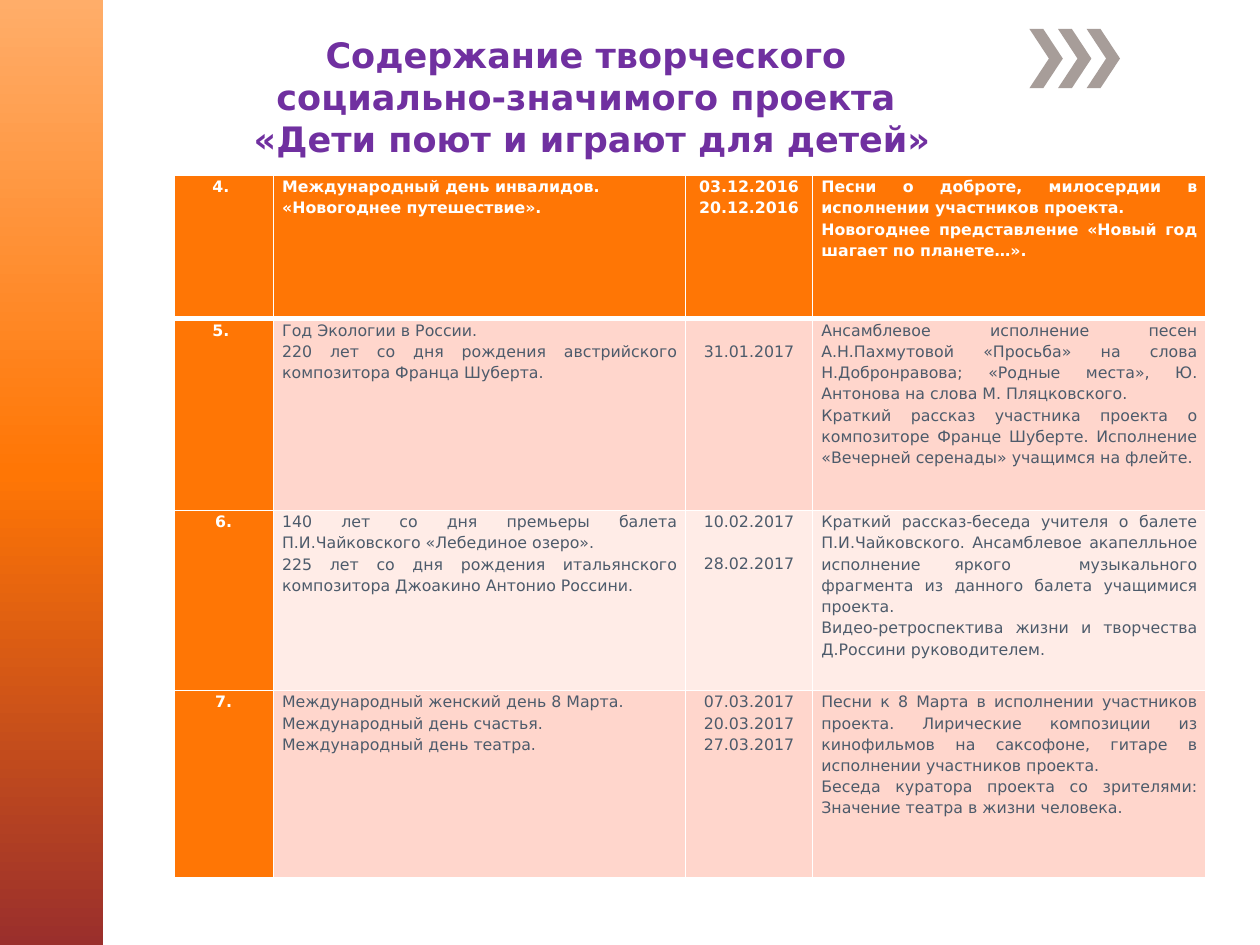
import copy

import pptx
import pptx.dml.color
import pptx.enum.shapes
import pptx.enum.text
import pptx.oxml
import pptx.oxml.ns
import pptx.util

ALIGN = pptx.enum.text.PP_ALIGN
ORANGE, ROSE, PALE, WHITE = "FF7605", "FFD6CC", "FFECE7", "FFFFFF"
SLATE, PURPLE, GREY = "4D5B6B", "7030A0", "A79D99"
LINE_HEIGHT = 1.67

ROWS = [
    ("4. ",
     ["Международный день инвалидов. ", "«Новогоднее путешествие». "],
     ["03.12.2016", "20.12.2016"],
     ["Песни о доброте, милосердии в исполнении участников проекта. ",
      "Новогоднее представление «Новый год шагает по планете…»."]),
    ("5. ",
     ["Год Экологии в России. ",
      "220 лет со дня рождения австрийского композитора Франца Шуберта.  "],
     [None, "31.01.2017"],
     ["Ансамблевое исполнение песен А.Н.Пахмутовой «Просьба» на слова "
      "Н.Добронравова; «Родные места», Ю. Антонова на слова М. Пляцковского.",
      "Краткий рассказ участника проекта о композиторе Франце Шуберте. "
      "Исполнение «Вечерней серенады» учащимся на флейте."]),
    ("6.",
     ["140 лет со дня премьеры балета П.И.Чайковского «Лебединое озеро». ",
      "225 лет со дня рождения итальянского композитора Джоакино Антонио Россини."],
     ["10.02.2017", None, "28.02.2017"],
     ["Краткий рассказ-беседа учителя о балете П.И.Чайковского. Ансамблевое "
      "акапелльное исполнение яркого  музыкального фрагмента из данного балета "
      "учащимися проекта. ",
      "Видео-ретроспектива жизни и творчества Д.Россини руководителем. "]),
    ("7.",
     ["Международный женский день 8 Марта. ", "Международный день счастья.",
      "Международный день театра."],
     ["07.03.2017", "20.03.2017", "27.03.2017"],
     ["Песни к 8 Марта в исполнении участников проекта. Лирические композиции "
      "из кинофильмов на саксофоне, гитаре в исполнении участников проекта. ",
      "Беседа куратора проекта со зрителями: Значение театра в жизни человека. "]),
]


def rgb(value):
    return pptx.dml.color.RGBColor.from_string(value)


def grid(n):
    return pptx.util.Inches(n / 10)


class Deck:
    """Slide builder on a grid of 100 columns by 75 rows, with one text style."""

    font = "DejaVu Sans"

    def __init__(self):
        self.prs = pptx.Presentation()
        self.prs.slide_width, self.prs.slide_height = grid(100), grid(75)
        self.s = self.prs.slides.add_slide(self.prs.slide_layouts[6])

    def fill_text(self, tf, lines, color, size, bold, **fmt):
        tf.word_wrap = True
        p, gap = None, 0
        for line in lines:
            if line is None:
                gap = LINE_HEIGHT
                continue
            first = p is None
            p = tf.paragraphs[0] if first else tf.add_paragraph()
            for name, value in fmt.items():
                setattr(p, name, value)
            if gap and not first:
                p.space_before = grid(gap)
            gap = 0
            r = p.add_run()
            r.text = line
            style = {"name": self.font, "size": pptx.util.Pt(size), "bold": bold}
            for name, value in style.items():
                setattr(r.font, name, value)
            r.font.color.rgb = rgb(color)

    def text(self, box, lines, color, size):
        sp = self.s.shapes.add_textbox(*map(grid, box))
        self.fill_text(sp.text_frame, lines, color, size, True, alignment=ALIGN.CENTER)

    def band(self, box, colors):
        kind = pptx.enum.shapes.MSO_SHAPE.RECTANGLE
        sp = self.s.shapes.add_shape(kind, *map(grid, box))
        sp.shadow.inherit = False
        sp.line.fill.background()
        sp.fill.gradient()
        sp.fill.gradient_angle = 270
        stops = sp._element.xpath(".//a:gsLst")[0]
        stops.insert(1, copy.deepcopy(stops[0]))
        for i, (stop, color) in enumerate(zip(sp.fill.gradient_stops, colors)):
            stop.position = i / (len(colors) - 1)
            stop.color.rgb = rgb(color)

    def chevron(self, x, y, width, height, arm, color):
        outline = [(x + arm, y), (x, y), (x + width - arm, y + height / 2),
                   (x, y + height), (x + arm, y + height), (x + width, y + height / 2)]
        points = [(grid(a), grid(b)) for a, b in outline]
        fb = self.s.shapes.build_freeform(*points[0])
        fb.add_line_segments(points[1:])
        sp = fb.convert_to_shape()
        sp.shadow.inherit = False
        sp.fill.solid()
        sp.fill.fore_color.rgb = rgb(color)
        sp.line.fill.background()

    def borders(self, cell, widths):
        tc_pr = cell._tc.get_or_add_tcPr()
        for side, width in widths.items():
            tc_pr.append(pptx.oxml.parse_xml(
                f'<a:ln{side} {pptx.oxml.ns.nsdecls("a")} w="{pptx.util.Pt(width)}">'
                f'<a:solidFill><a:srgbClr val="{WHITE}"/></a:solidFill></a:ln{side}>'))

    def cell(self, cell, lines, fill, color, bold, align, widths):
        margins = {"margin_left": 0.7, "margin_right": 0.7, "margin_bottom": 0,
                   "margin_top": LINE_HEIGHT if lines[0] is None else 0}
        for name, value in margins.items():
            setattr(cell, name, grid(value))
        self.borders(cell, widths)
        cell.fill.solid()
        cell.fill.fore_color.rgb = rgb(fill)
        self.fill_text(cell.text_frame, lines, color, 9, bold,
                       alignment=align, line_spacing=1.15)

    def table(self, x, y, cols, heights, rows):
        box = map(grid, (x, y, sum(cols), sum(heights)))
        table = self.s.shapes.add_table(len(rows), len(cols), *box).table
        table.first_row = table.horz_banding = False
        for column, width in zip(table.columns, cols):
            column.width = grid(width)
        for i, (row, height) in enumerate(zip(rows, heights)):
            table.rows[i].height = grid(height)
            widths = {"L": 1, "R": 1, "T": 3 if i == 1 else 1, "B": 1 if i else 3}
            for j, lines in enumerate(([row[0]], *row[1:])):
                head = i == 0 or j == 0
                fill = ORANGE if head else ROSE if i % 2 else PALE
                self.cell(table.cell(i, j), lines, fill, WHITE if head else SLATE, head,
                          ALIGN.JUSTIFY if j % 2 else ALIGN.CENTER, widths)


def main():
    d = Deck()
    d.band((0, 0, 8.2, 75), ["FFAD69", ORANGE, "9A2F2C"])
    for i in range(3):
        d.chevron(81.7 + 2.27 * i, 2.3, 2.65, 4.7, 1.1, GREY)
    d.text((13.3, 2.2, 67.4, 10.4),
           ["Содержание творческого ", "социально-значимого проекта ",
            "«Дети поют и играют для детей»"], PURPLE, 20)
    d.table(13.8, 13.9, [7.9, 32.7, 10.1, 31.2], [11.4, 15.2, 14.3, 14.9], ROWS)
    d.prs.save("out.pptx")


if __name__ == "__main__":
    main()
